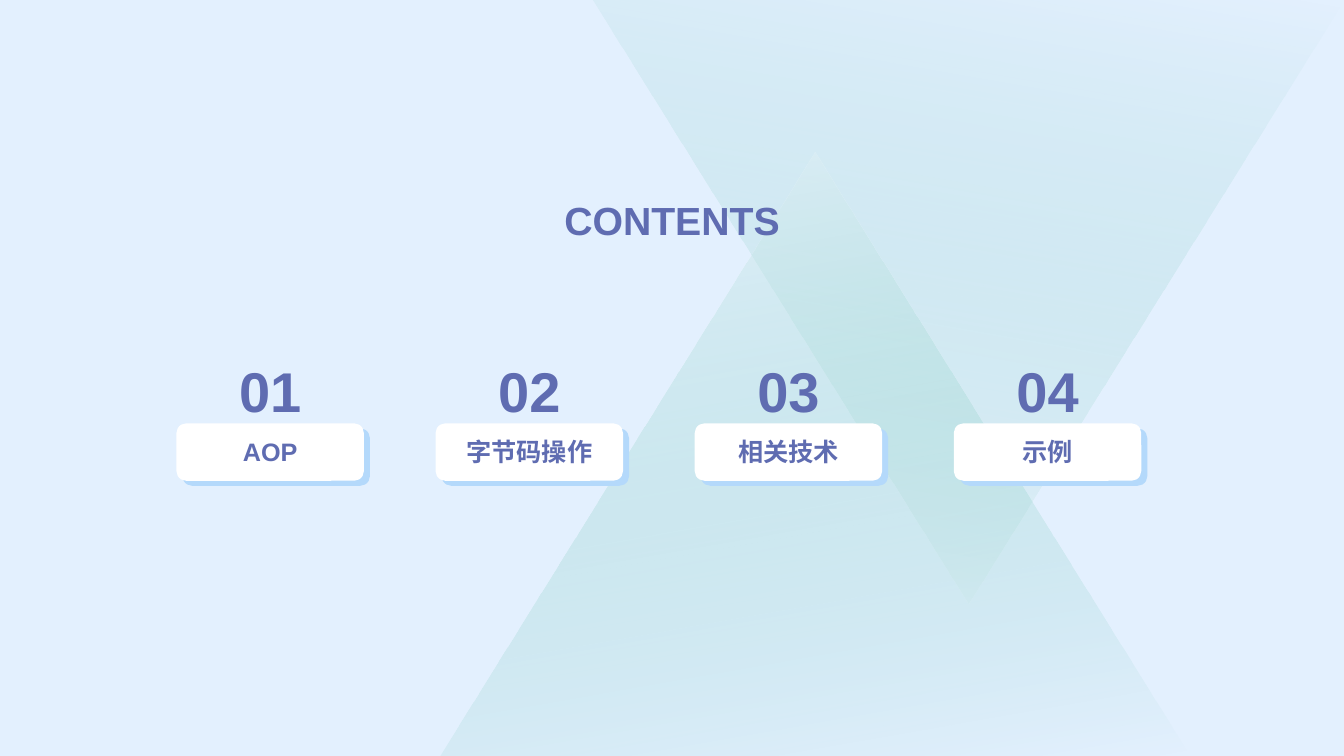
from dataclasses import dataclass

from lxml import etree
from pptx import Presentation
from pptx.dml.color import RGBColor
from pptx.enum.shapes import MSO_SHAPE
from pptx.enum.text import MSO_AUTO_SIZE, PP_ALIGN
from pptx.oxml.ns import qn
from pptx.util import Inches, Pt

RECTANGLE = MSO_SHAPE.RECTANGLE
ROUNDED = MSO_SHAPE.ROUNDED_RECTANGLE
TRIANGLE = MSO_SHAPE.ISOSCELES_TRIANGLE
CENTER = PP_ALIGN.CENTER
GROW = MSO_AUTO_SIZE.SHAPE_TO_FIT_TEXT


@dataclass(frozen=True)
class Theme:
    font: str = "Arial"
    backdrop: str = "E3F0FE"
    mist: str = "EEF6FE"
    green: str = "38B197"
    ink: str = "5F6CB1"
    card: str = "FFFFFF"
    card_shade: str = "B4D9FB"
    title_size: int = 28
    number_size: int = 40
    label_size: int = 18


class ContentsPage:
    def __init__(self, page, theme):
        self.page = page
        self.theme = theme

    def shape(self, shapes, kind, left, top, width, height):
        item = shapes.add_shape(kind, Inches(left), Inches(top), Inches(width), Inches(height))
        item.shadow.inherit = False
        item.line.fill.background()
        return item

    def panel(self, shapes, kind, left, top, width, height, color):
        item = self.shape(shapes, kind, left, top, width, height)
        item.fill.solid()
        item.fill.fore_color.rgb = RGBColor.from_string(color)
        return item

    def card(self, shapes, left, top, color):
        item = self.panel(shapes, ROUNDED, left, top, 1.86, 0.57, color)
        item.adjustments[0] = 0.17

    def triangle(self, left, top, angle, opacity, rotation=0):
        """Add a triangle fading to clear; angle is clockwise, opacity the percentage at its start."""
        item = self.shape(self.page.shapes, TRIANGLE, left, top, 7.45, 5.99)
        item.rotation = rotation
        item.fill.gradient()
        item.fill.gradient_angle = 360 - angle
        colors = (self.theme.mist, self.theme.green)
        for stop, color in zip(item.fill.gradient_stops, colors):
            stop.color.rgb = RGBColor.from_string(color)
        color_nodes = item.element.spPr.iter(qn("a:srgbClr"))
        for node, percent in zip(color_nodes, (opacity, 0)):
            etree.SubElement(node, qn("a:alpha")).set("val", str(percent * 1000))

    def text(self, shapes, words, left, top, width, height, size):
        box = shapes.add_textbox(Inches(left), Inches(top), Inches(width), Inches(height))
        frame = box.text_frame
        frame.word_wrap = True
        frame.auto_size = GROW
        frame.text = words
        para = frame.paragraphs[0]
        para.alignment = CENTER
        font = para.runs[0].font
        font.name = self.theme.font
        font.size = Pt(size)
        font.bold = True
        font.color.rgb = RGBColor.from_string(self.theme.ink)

    def chapter(self, number, label, left):
        theme = self.theme
        shapes = self.page.shapes.add_group_shape().shapes
        self.card(shapes, left + 0.06, 4.25, theme.card_shade)
        self.card(shapes, left, 4.2, theme.card)
        self.text(shapes, f"{number:02}", left, 3.49, 1.86, 0.77, theme.number_size)
        self.text(shapes, label, left + 0.15, 4.28, 1.56, 0.4, theme.label_size)


def main():
    deck = Presentation()
    deck.slide_width = Inches(13.33)
    deck.slide_height = Inches(7.5)
    theme = Theme()
    contents = ContentsPage(deck.slides.add_slide(deck.slide_layouts[6]), theme)
    shapes = contents.page.shapes

    contents.panel(shapes, RECTANGLE, 0, 0, 13.33, 7.5, theme.backdrop)
    contents.triangle(5.88, 0, angle=100, opacity=43, rotation=180)
    contents.triangle(4.36, 1.51, angle=80, opacity=56)
    contents.text(shapes, "CONTENTS", 5.23, 1.9, 2.87, 0.57, theme.title_size)

    chapters = ("AOP", "字节码操作", "相关技术", "示例")
    for index, label in enumerate(chapters):
        contents.chapter(index + 1, label, 1.75 + 2.57 * index)

    deck.save("out.pptx")


if __name__ == "__main__":
    main()
